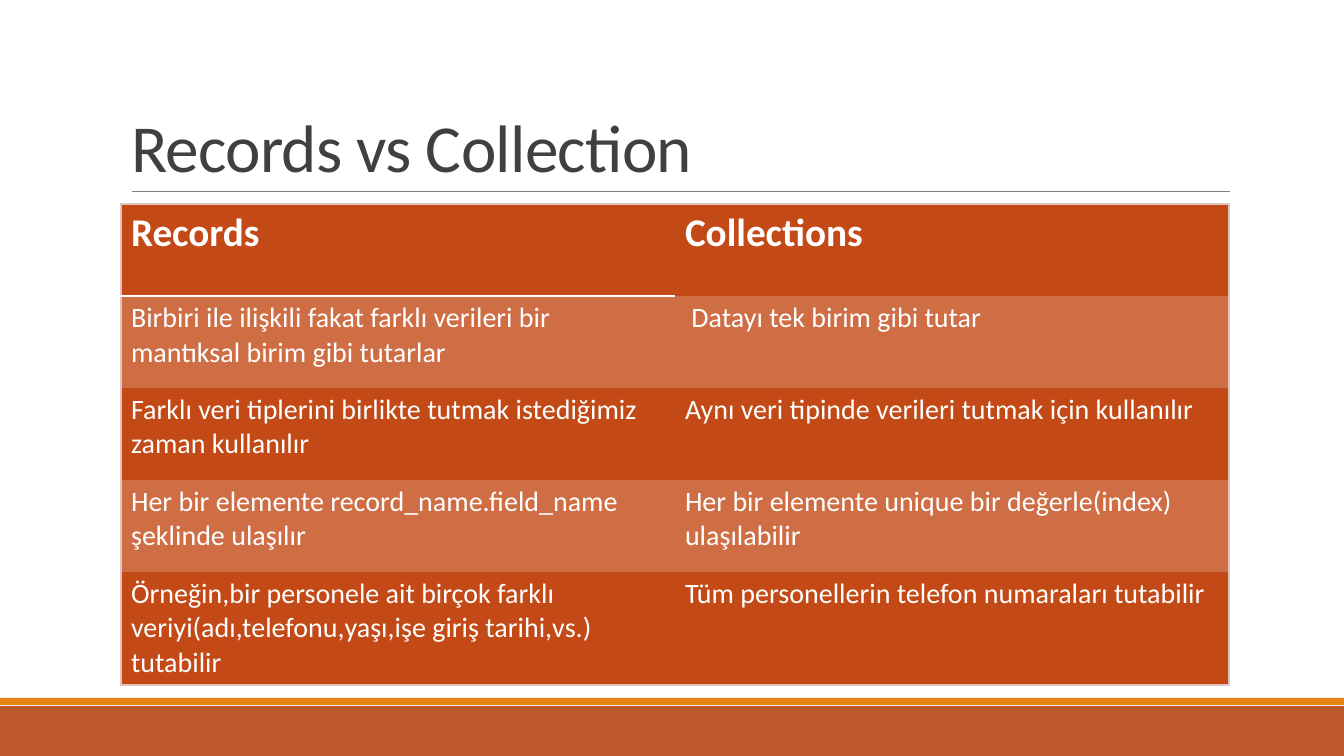
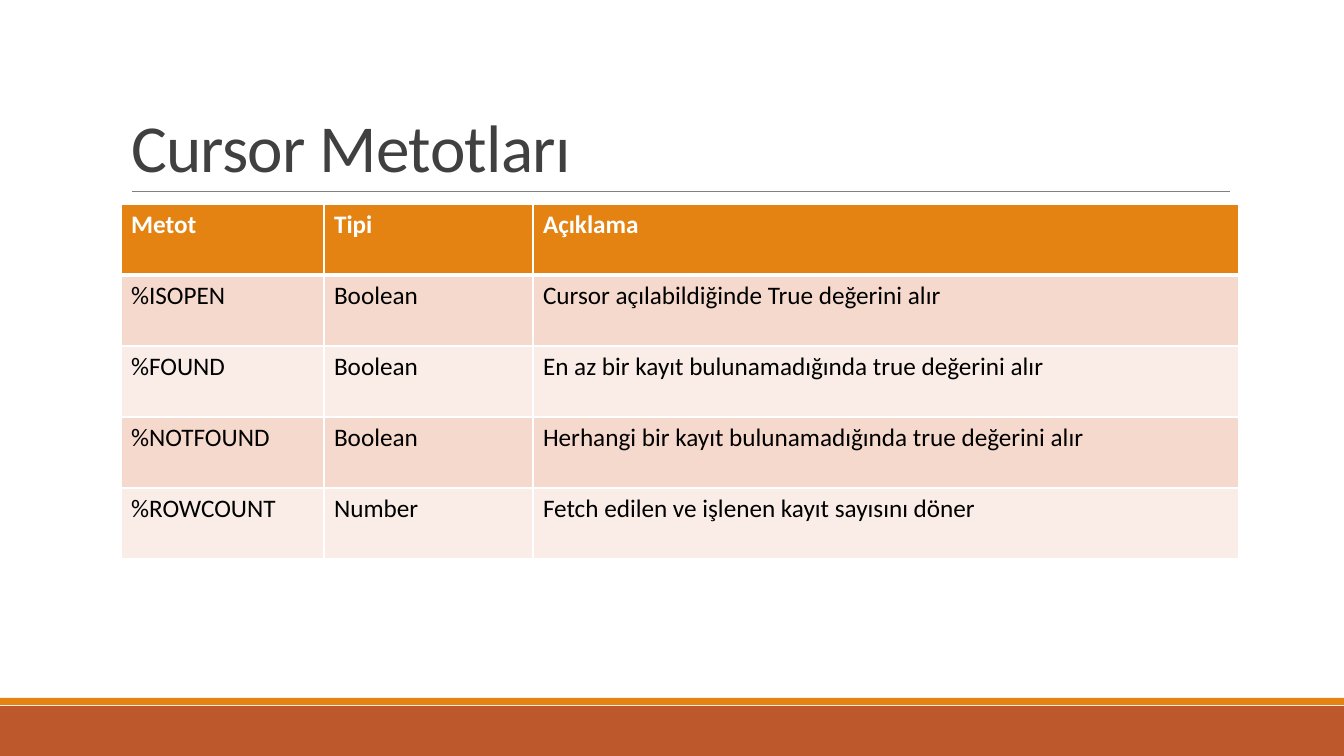
from dataclasses import dataclass
from typing import Any, Optional

from lxml import etree
from pptx import Presentation
from pptx.dml.color import RGBColor
from pptx.enum.shapes import MSO_CONNECTOR, MSO_SHAPE
from pptx.enum.text import MSO_ANCHOR, MSO_AUTO_SIZE, PP_ALIGN
from pptx.oxml.ns import qn
from pptx.util import Emu, Pt

RECTANGLE = MSO_SHAPE.RECTANGLE
STRAIGHT = MSO_CONNECTOR.STRAIGHT
BOTTOM = MSO_ANCHOR.BOTTOM
NO_AUTOFIT = MSO_AUTO_SIZE.NONE
LEFT = PP_ALIGN.LEFT

SLIDE_WIDTH, SLIDE_HEIGHT = 1344, 756
EMU_PER_PX = 12192000 / SLIDE_WIDTH
TITLE_ONLY = 5
NO_STYLE = "{2D5ABB26-0587-4C30-8999-92F81FD0307C}"
FONT = "Calibri"
WHITE, BLACK, GREY, TITLE_COLOUR = "FFFFFF", "000000", "808080", "404040"
ORANGE, RUST, DEEP_RUST, LIGHT_RUST = "E48312", "BD582C", "C34A16", "CF6E45"
ROSE, PALE_ROSE, FRAME = "F5D9CC", "FAEDE7", "E1C4BE"
TABLE_LEFT, TABLE_TOP = 121, 204
TITLE_BOX = (121, 31, 1109, 160)
RULE_LEFT, RULE_RIGHT, RULE_TOP = 132, 1230, 191


@dataclass(frozen=True)
class Band:
    top: int
    height: int
    colour: str


@dataclass(frozen=True)
class Border:
    colour: str
    points: int


@dataclass(frozen=True)
class TableDesign:
    header_fill: str
    row_fills: tuple[str, str]
    body_colour: str
    header_size: int
    body_size: int
    edge: Border
    grid: Optional[Border]
    header_rule: Border
    ruled_columns: int


@dataclass(frozen=True)
class TableSlide:
    title: str
    column_widths: tuple[int, ...]
    row_heights: tuple[int, ...]
    design: TableDesign
    rows: tuple[tuple[str, ...], ...]


BANDS = (Band(706, 50, RUST), Band(698, 7, ORANGE))

DARK_DESIGN = TableDesign(
    DEEP_RUST, (LIGHT_RUST, DEEP_RUST), WHITE, 28, 20,
    Border(FRAME, 1), None, Border(WHITE, 2), 1,
)
LIGHT_DESIGN = TableDesign(
    ORANGE, (ROSE, PALE_ROSE), BLACK, 18, 18,
    Border(WHITE, 1), Border(WHITE, 1), Border(WHITE, 3), 3,
)

TABLE_SLIDES = (
    TableSlide(
        "Records vs Collection", (554, 554), (92, 92, 92, 92, 112), DARK_DESIGN,
        (
            ("Records", "Collections"),
            ("Birbiri ile ilişkili fakat farklı verileri bir mantıksal birim gibi tutarlar",
             " Datayı tek birim gibi tutar"),
            ("Farklı veri tiplerini birlikte tutmak istediğimiz zaman kullanılır",
             "Aynı veri tipinde verileri tutmak için kullanılır"),
            ("Her bir elemente record_name.field_name şeklinde ulaşılır",
             "Her bir elemente unique bir değerle(index) ulaşılabilir"),
            ("Örneğin,bir personele ait birçok farklı "
             "veriyi(adı,telefonu,yaşı,işe giriş tarihi,vs.) tutabilir",
             "Tüm personellerin telefon numaraları tutabilir"),
        ),
    ),
    TableSlide(
        "Cursor Metotları", (203, 209, 706), (71,) * 5, LIGHT_DESIGN,
        (
            ("Metot", "Tipi", "Açıklama"),
            ("%ISOPEN", "Boolean", "Cursor açılabildiğinde True değerini alır"),
            ("%FOUND", "Boolean", "En az bir kayıt bulunamadığında true değerini alır"),
            ("%NOTFOUND", "Boolean", "Herhangi bir kayıt bulunamadığında true değerini alır"),
            ("%ROWCOUNT", "Number", "Fetch edilen ve işlenen kayıt sayısını döner"),
        ),
    ),
)


def px(length: int) -> Emu:
    return Emu(round(length * EMU_PER_PX))


def colour(value: str) -> RGBColor:
    return RGBColor.from_string(value)


def apply_format(target: Any, values: dict[str, Any]) -> None:
    for name, value in values.items():
        setattr(target, name, value)


def format_font(font: Any, size: int, text_colour: str, bold: bool = False) -> None:
    apply_format(font, {"name": FONT, "size": Pt(size), "bold": bold})
    font.color.rgb = colour(text_colour)


def build_layout(layout: Any, slide: Any) -> None:
    for placeholder in list(layout.placeholders):
        if placeholder.placeholder_format.idx:
            placeholder.element.getparent().remove(placeholder.element)
    decorations = []
    for band in BANDS:
        shape = slide.shapes.add_shape(
            RECTANGLE, 0, px(band.top), px(SLIDE_WIDTH), px(band.height)
        )
        shape.shadow.inherit = False
        shape.fill.solid()
        shape.fill.fore_color.rgb = colour(band.colour)
        shape.line.fill.background()
        decorations.append(shape)
    rule = slide.shapes.add_connector(
        STRAIGHT, px(RULE_LEFT), px(RULE_TOP), px(RULE_RIGHT), px(RULE_TOP)
    )
    rule.line.color.rgb = colour(GREY)
    rule.line.width = Pt(0.5)
    etree.SubElement(rule.element.find(qn("p:spPr")), qn("a:effectLst"))
    decorations.append(rule)
    for decoration in decorations:
        layout.shapes.element.append(decoration.element)


def set_title(slide: Any, text: str) -> None:
    title = slide.shapes.title
    apply_format(title, dict(zip(("left", "top", "width", "height"), map(px, TITLE_BOX))))
    frame = title.text_frame
    frame.text = text
    apply_format(frame, {
        "vertical_anchor": BOTTOM, "word_wrap": True, "auto_size": NO_AUTOFIT,
    })
    paragraph = frame.paragraphs[0]
    apply_format(paragraph, {"alignment": LEFT, "line_spacing": 0.85})
    format_font(paragraph.runs[0].font, 48, TITLE_COLOUR)
    for properties in title.element.iter(qn("a:rPr")):
        properties.set("spc", "-50")


def cell_borders(
    design: TableDesign, row: int, column: int, last_row: int, last_column: int
) -> dict[str, Optional[Border]]:
    rule = design.header_rule if column < design.ruled_columns else design.grid
    return {
        "a:lnL": design.grid if column else design.edge,
        "a:lnR": design.grid if column < last_column else design.edge,
        "a:lnT": design.edge if row == 0 else rule if row == 1 else design.grid,
        "a:lnB": rule if row == 0 else design.edge if row == last_row else design.grid,
    }


def draw_borders(cell: Any, borders: dict[str, Optional[Border]]) -> None:
    properties = cell._tc.get_or_add_tcPr()
    for tag, border in borders.items():
        line = etree.SubElement(properties, qn(tag))
        if border is None:
            etree.SubElement(line, qn("a:noFill"))
            continue
        line.set("w", str(Pt(border.points)))
        fill = etree.SubElement(line, qn("a:solidFill"))
        etree.SubElement(fill, qn("a:srgbClr")).set("val", border.colour)


def add_table(slide: Any, content: TableSlide) -> None:
    design = content.design
    row_count, column_count = len(content.rows), len(content.column_widths)
    graphic_frame = slide.shapes.add_table(
        row_count, column_count, px(TABLE_LEFT), px(TABLE_TOP),
        px(sum(content.column_widths)), px(sum(content.row_heights)),
    )
    for style in graphic_frame.element.iter(qn("a:tableStyleId")):
        style.text = NO_STYLE
    table = graphic_frame.table
    for column, width in zip(table.columns, content.column_widths):
        column.width = px(width)
    for row, height in zip(table.rows, content.row_heights):
        row.height = px(height)
    for row_index, texts in enumerate(content.rows):
        is_header = row_index == 0
        fill = design.header_fill if is_header else design.row_fills[(row_index - 1) % 2]
        size = design.header_size if is_header else design.body_size
        text_colour = WHITE if is_header else design.body_colour
        for column_index, text in enumerate(texts):
            cell = table.cell(row_index, column_index)
            draw_borders(cell, cell_borders(
                design, row_index, column_index, row_count - 1, column_count - 1
            ))
            cell.fill.solid()
            cell.fill.fore_color.rgb = colour(fill)
            cell.text = text
            run = cell.text_frame.paragraphs[0].runs[0]
            format_font(run.font, size, text_colour, is_header)


def main() -> None:
    presentation = Presentation()
    apply_format(presentation, {
        "slide_width": px(SLIDE_WIDTH), "slide_height": px(SLIDE_HEIGHT),
    })
    layout = presentation.slide_layouts[TITLE_ONLY]
    slides = [presentation.slides.add_slide(layout) for _ in TABLE_SLIDES]
    build_layout(layout, slides[0])
    for slide, content in zip(slides, TABLE_SLIDES):
        set_title(slide, content.title)
        add_table(slide, content)
    presentation.save("out.pptx")


if __name__ == "__main__":
    main()
